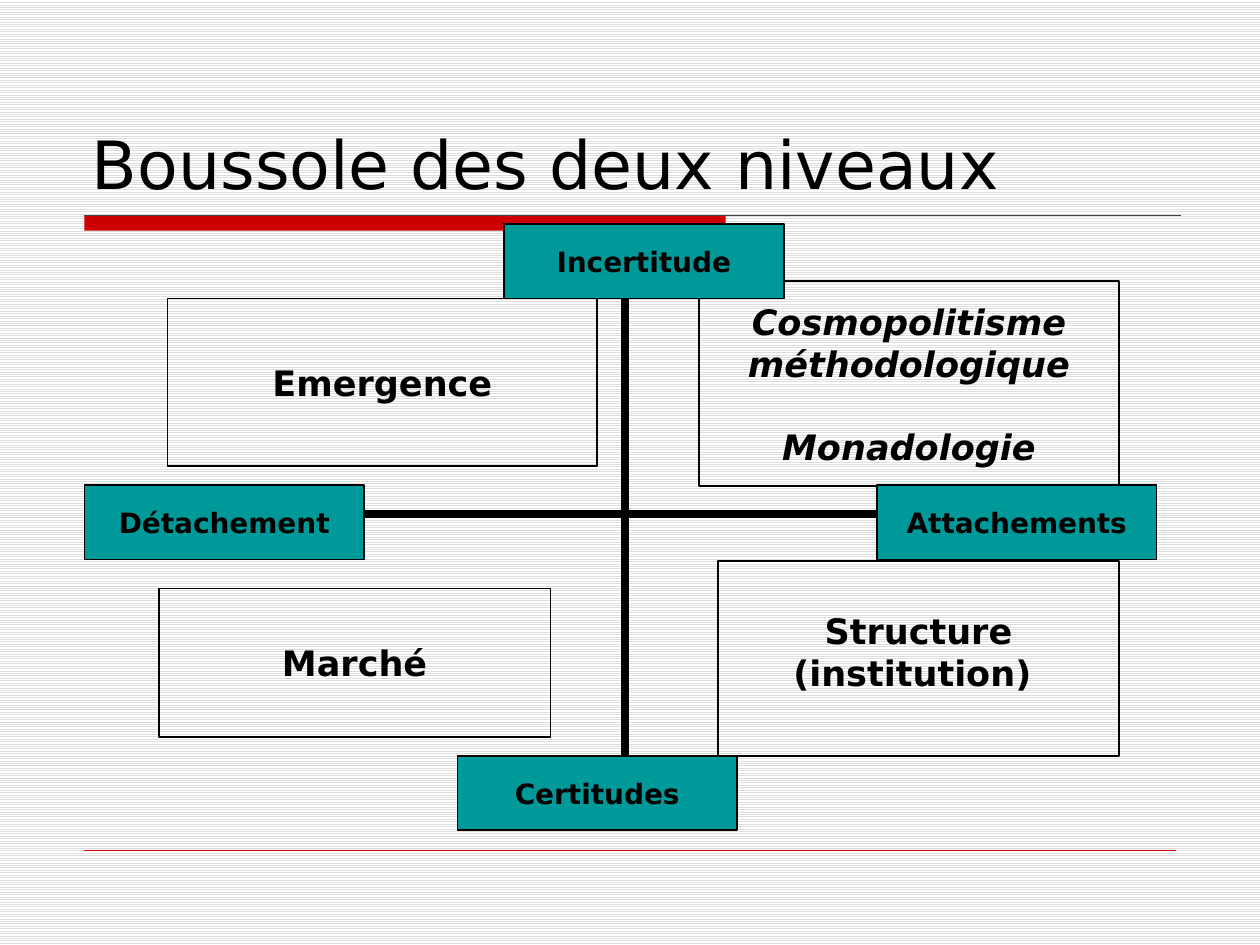
import pptx
import pptx.util
import pptx.dml.color
import pptx.enum.dml
import pptx.enum.shapes
import pptx.enum.text
import pptx.oxml.ns
from lxml import etree

Inches = pptx.util.Inches
Pt = pptx.util.Pt
RGBColor = pptx.dml.color.RGBColor
ANCHOR = pptx.enum.text.MSO_ANCHOR
ALIGN = pptx.enum.text.PP_ALIGN

BLACK = RGBColor(0x00, 0x00, 0x00)
WHITE = RGBColor(0xFF, 0xFF, 0xFF)
STRIPE = RGBColor(0xDD, 0xDD, 0xDD)
CHARCOAL = RGBColor(0x40, 0x40, 0x40)
RED = RGBColor(0xCC, 0x00, 0x00)
TEAL = RGBColor(0x00, 0x99, 0x99)
FONT = "DejaVu Sans"


def set_values(target, values):
    for name, value in values.items():
        setattr(target, name, value)


def write(para, text, size, **styles):
    span = para.add_run()
    span.text = text
    set_values(span.font, {"name": FONT, "size": Pt(size), **styles})
    span.font.color.rgb = BLACK


def add_box(page, box, fill=None, line=BLACK):
    shape = page.shapes.add_shape(
        pptx.enum.shapes.MSO_SHAPE.RECTANGLE, *map(Inches, box))
    shape.shadow.inherit = False
    if fill is None:
        shape.fill.background()
    else:
        shape.fill.solid()
        shape.fill.fore_color.rgb = fill
    if line is None:
        shape.line.fill.background()
    else:
        shape.line.color.rgb = line
        shape.line.width = Pt(1)
    return shape


def add_text_box(page, box, lines, size, fill=None, gap=0, bottom=0.03, **styles):
    frame = add_box(page, box, fill).text_frame
    set_values(frame, {
        "word_wrap": True, "vertical_anchor": ANCHOR.MIDDLE,
        "margin_left": Inches(0.07), "margin_right": Inches(0.07),
        "margin_top": Inches(0.03), "margin_bottom": Inches(bottom)})
    for index, text in enumerate(lines):
        para = frame.add_paragraph() if index else frame.paragraphs[0]
        para.alignment = ALIGN.CENTER
        if index:
            para.space_before = Pt(gap)
        write(para, text, size, bold=True, **styles)


def add_line(page, start, end, color, width, arrows=False):
    line = page.shapes.add_connector(
        pptx.enum.shapes.MSO_CONNECTOR.STRAIGHT, *map(Inches, start + end))
    line.line.color.rgb = color
    line.line.width = Pt(width)
    if arrows:
        for tag in ("a:headEnd", "a:tailEnd"):
            etree.SubElement(line.line._get_or_add_ln(),
                             pptx.oxml.ns.qn(tag), type="triangle")
    etree.SubElement(line._element.spPr, pptx.oxml.ns.qn("a:effectLst"))


def add_background(page):
    fill = page.background.fill
    fill.patterned()
    fill.pattern = pptx.enum.dml.MSO_PATTERN.LIGHT_HORIZONTAL
    fill.fore_color.rgb = STRIPE
    fill.back_color.rgb = WHITE


def add_title(page, box, text):
    title = page.shapes.title
    names = ("left", "top", "width", "height")
    set_values(title, dict(zip(names, map(Inches, box))))
    set_values(title.text_frame, {
        "vertical_anchor": ANCHOR.BOTTOM, "word_wrap": True})
    para = title.text_frame.paragraphs[0]
    para.alignment = ALIGN.LEFT
    write(para, text, 38)


def add_rules(page, left, right, top, bottom):
    add_box(page, (left, top, 5.09, 0.12), RED, None)
    add_line(page, (left, top), (right, top), CHARCOAL, 0.75)
    add_line(page, (left, bottom), (9.33, bottom), RED, 0.25)


def add_compass(page, left, top, width, height):
    right, bottom = left + width, top + height
    label_width, label_height = 2.22, 0.59

    # Quadrants
    add_text_box(page, (5.55, 2.23, 3.33, 1.63),
                 ["Cosmopolitisme méthodologique", "Monadologie"],
                 20, gap=23.3, italic=True)
    add_text_box(page, (1.33, 2.37, 3.41, 1.33), ["Emergence"], 20)
    add_text_box(page, (5.7, 4.45, 3.18, 1.55),
                 ["Structure", "(institution) "], 20, bottom=0.14)
    add_text_box(page, (1.26, 4.67, 3.11, 1.18), ["Marché"], 20)

    # Axes, whose ends lie under the labels
    add_line(page, (4.96, top + 0.37), (4.96, bottom - 0.37), BLACK, 4.5, True)
    add_line(page, (2.59, 4.08), (7.33, 4.08), BLACK, 4.5, True)

    # Labels at the four ends
    labels = {
        "Incertitude": (4, top),
        "Certitudes": (3.63, bottom - label_height),
        "Attachements": (right - label_width, 3.85),
        "Détachement": (left, 3.85),
    }
    for text, corner in labels.items():
        add_text_box(page, corner + (label_width, label_height), [text], 16, TEAL)


def main():
    deck = pptx.Presentation()
    deck.slide_width, deck.slide_height = Inches(10), Inches(7.5)
    page = deck.slides.add_slide(deck.slide_layouts[5])
    add_background(page)
    add_rules(page, 0.67, 9.37, 1.71, 6.75)
    add_title(page, (0.63, 0.33, 8.75, 1.33), "Boussole des deux niveaux")
    add_compass(page, 0.67, 1.78, 8.51, 4.81)
    deck.save("out.pptx")


if __name__ == "__main__":
    main()
